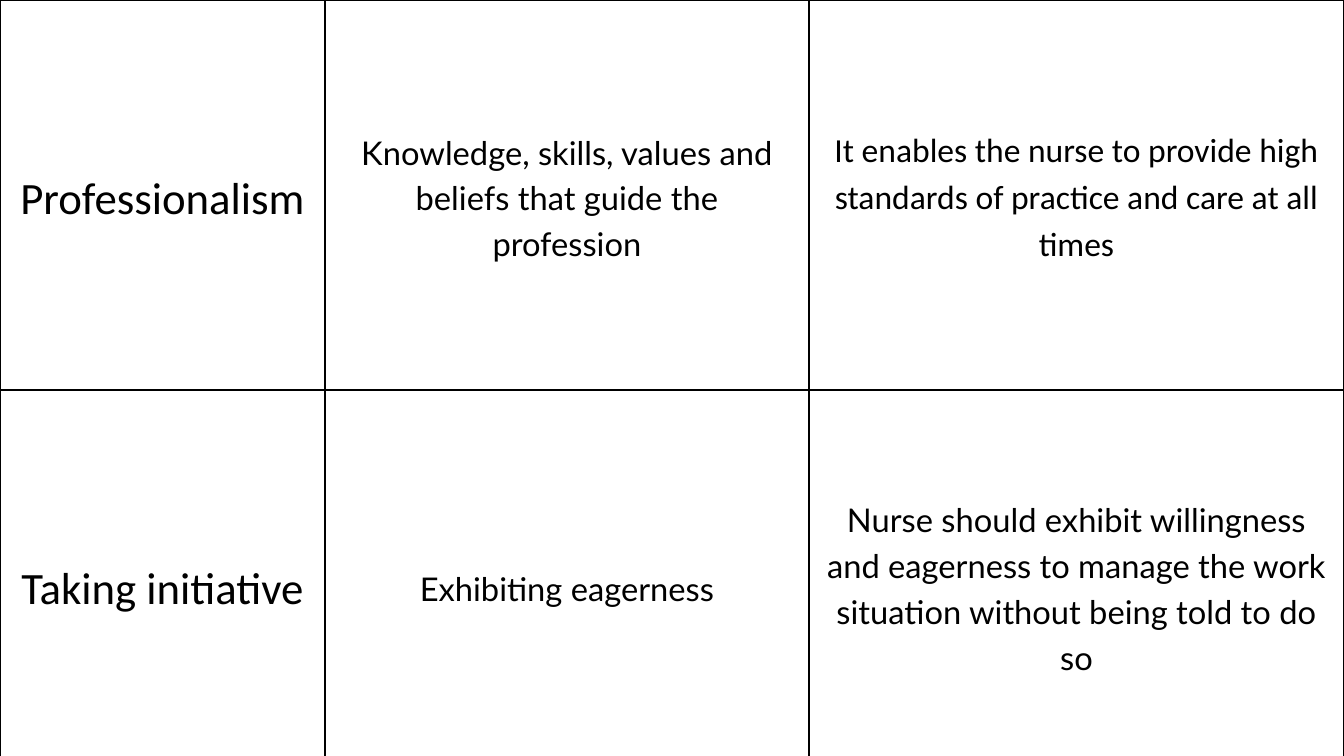
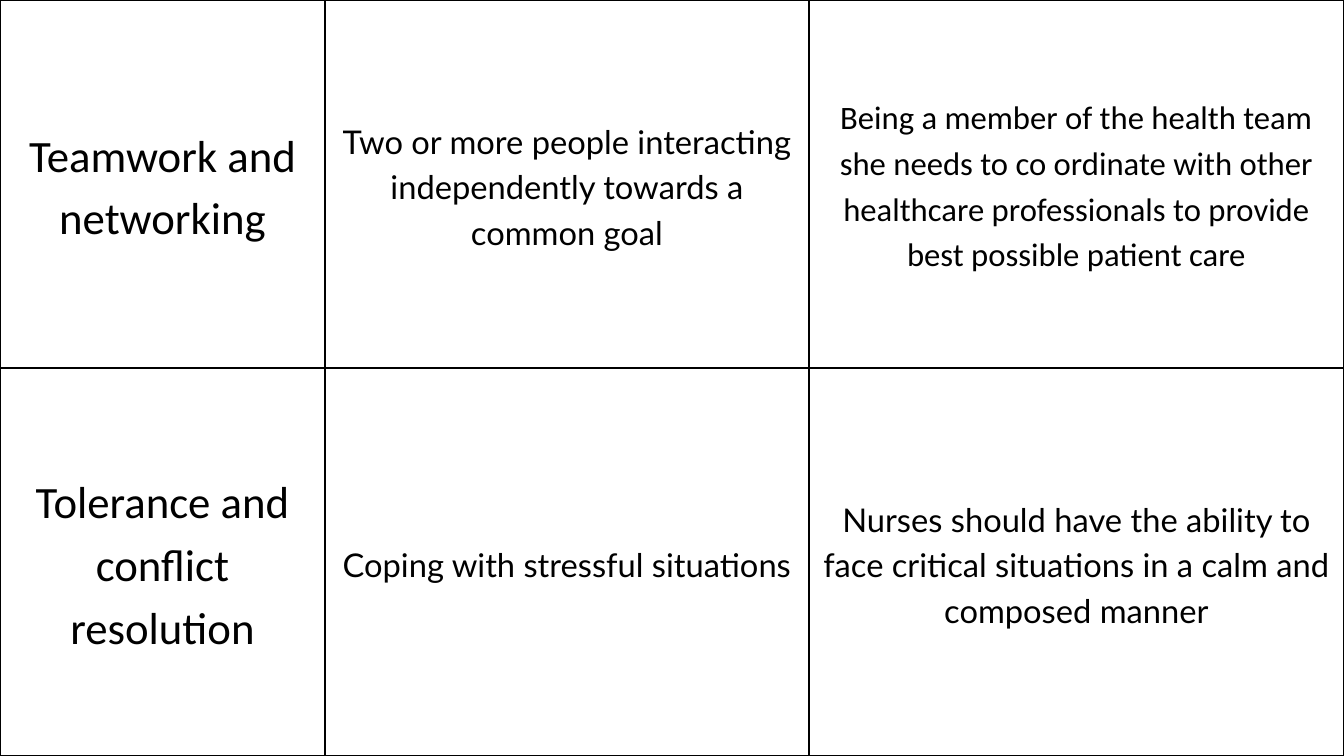
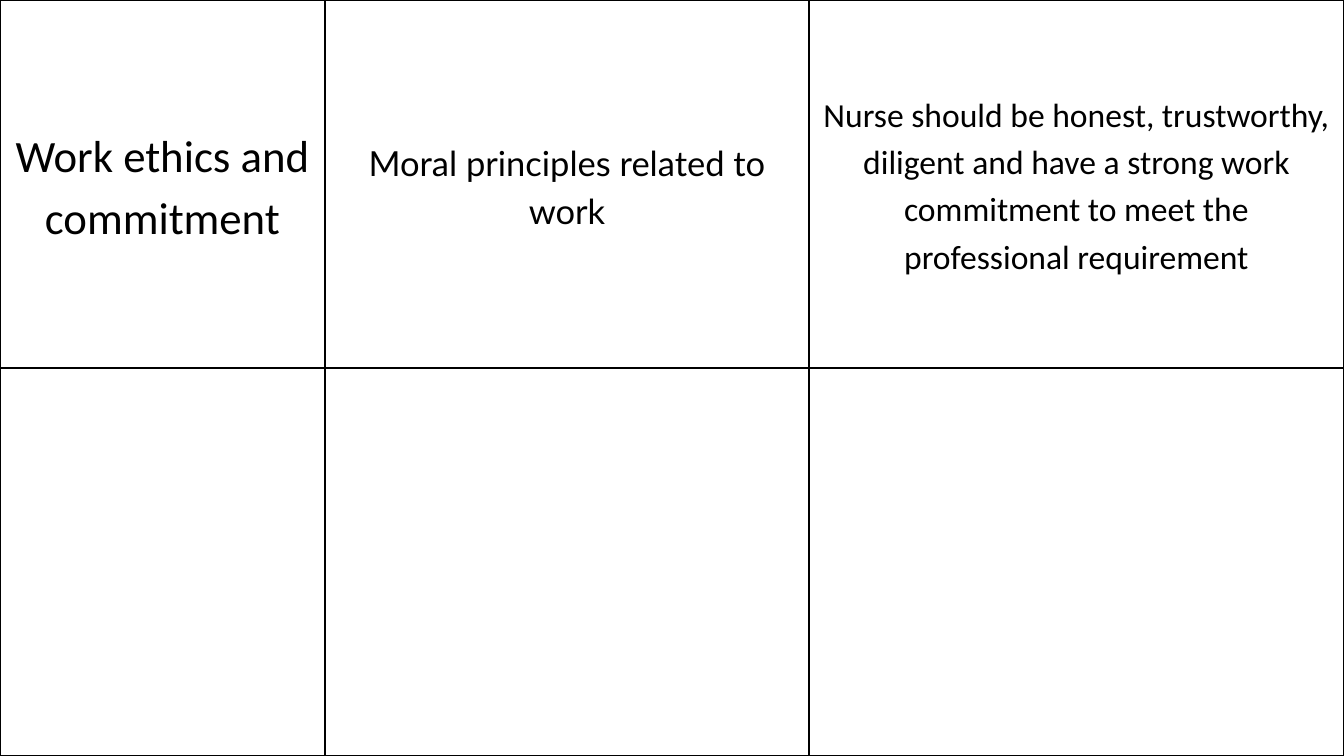
from lxml import etree
from pptx import Presentation
from pptx.dml.color import RGBColor
from pptx.enum.text import MSO_ANCHOR, PP_ALIGN
from pptx.oxml.ns import qn
from pptx.util import Pt

# Scale: 67.2 px to the inch
EMU_PER_PX = 914400 / 67.2
SLIDE_WIDTH, SLIDE_HEIGHT = 1344, 756

BLACK = RGBColor(0x00, 0x00, 0x00)
MIDDLE = MSO_ANCHOR.MIDDLE
CENTER = PP_ALIGN.CENTER

# Shared table style
HEADING_FONT = "Calibri"
BODY_FONT = "Lato"
LINE_RATIO = 1.4
BORDER_WIDTH = Pt(3)
CELL_MARGIN = 14
COLUMN_WIDTHS = (325, 484, 535)
TALL_ROWS = (390, 391)
PAGE_ROWS = (368, 388)


def px(length):
    return round(length * EMU_PER_PX)


def skill(text):
    return text, HEADING_FONT, 48


def body(text, font=BODY_FONT, size=35):
    return text, font, size


# Each page: row heights, then rows of skill, meaning and importance
PAGES = [
    (TALL_ROWS, [
        [skill("Professionalism"),
         body("Knowledge, skills, values and beliefs that guide the profession"),
         body("It enables the nurse to provide high standards of practice and care "
              "at all times", HEADING_FONT, 36)],
        [skill("Taking initiative"),
         body("Exhibiting eagerness"),
         body("Nurse should exhibit willingness and eagerness to manage the work "
              "situation without being told to do so")],
    ]),
    (PAGE_ROWS, [
        [skill("Teamwork and networking"),
         body("Two or more people interacting independently towards a common goal"),
         body("Being a member of the health team she needs to co ordinate with other "
              "healthcare professionals to provide best possible patient care",
              HEADING_FONT)],
        [skill("Tolerance and conflict resolution"),
         body("Coping with stressful situations"),
         body("Nurses should have the ability to face critical situations in a calm "
              "and composed manner")],
    ]),
    (PAGE_ROWS, [
        [skill("Work ethics and commitment"),
         body("Moral principles related to work", size=37),
         body("Nurse should be honest, trustworthy, diligent and have a strong work "
              "commitment to meet the professional requirement", HEADING_FONT, 36)],
    ]),
]


def style_cell(cell):
    cell.fill.background()
    cell.vertical_anchor = MIDDLE
    cell.margin_left = cell.margin_right = px(CELL_MARGIN)
    cell.margin_top = cell.margin_bottom = px(CELL_MARGIN)
    # Borders come before the fill in the cell properties
    properties = cell._tc.get_or_add_tcPr()
    for position, side in enumerate(("lnL", "lnR", "lnT", "lnB")):
        line = etree.Element(qn(f"a:{side}"), w=str(BORDER_WIDTH))
        fill = etree.SubElement(line, qn("a:solidFill"))
        etree.SubElement(fill, qn("a:srgbClr"), val=str(BLACK))
        properties.insert(position, line)


def write_cell(cell, text, font, size):
    paragraph = cell.text_frame.paragraphs[0]
    paragraph.text = text
    paragraph.alignment = CENTER
    paragraph.line_spacing = Pt(size * LINE_RATIO)
    paragraph.font.name = font
    paragraph.font.size = Pt(size)
    paragraph.font.color.rgb = BLACK


def add_skill_table(slide, left, top, row_heights, entries):
    table = slide.shapes.add_table(
        len(row_heights), len(COLUMN_WIDTHS), px(left), px(top),
        px(sum(COLUMN_WIDTHS)), px(sum(row_heights))).table
    table.first_row = table.horz_banding = False
    for column, width in zip(table.columns, COLUMN_WIDTHS):
        column.width = px(width)
    for row, height in zip(table.rows, row_heights):
        row.height = px(height)
    for cell in table.iter_cells():
        style_cell(cell)
    for row, row_entries in zip(table.rows, entries):
        for cell, entry in zip(row.cells, row_entries):
            write_cell(cell, *entry)


def main():
    presentation = Presentation()
    presentation.slide_width = px(SLIDE_WIDTH)
    presentation.slide_height = px(SLIDE_HEIGHT)
    blank_layout = presentation.slide_layouts[6]
    for row_heights, entries in PAGES:
        slide = presentation.slides.add_slide(blank_layout)
        add_skill_table(slide, 0, 0, row_heights, entries)
    presentation.save("out.pptx")


if __name__ == "__main__":
    main()
